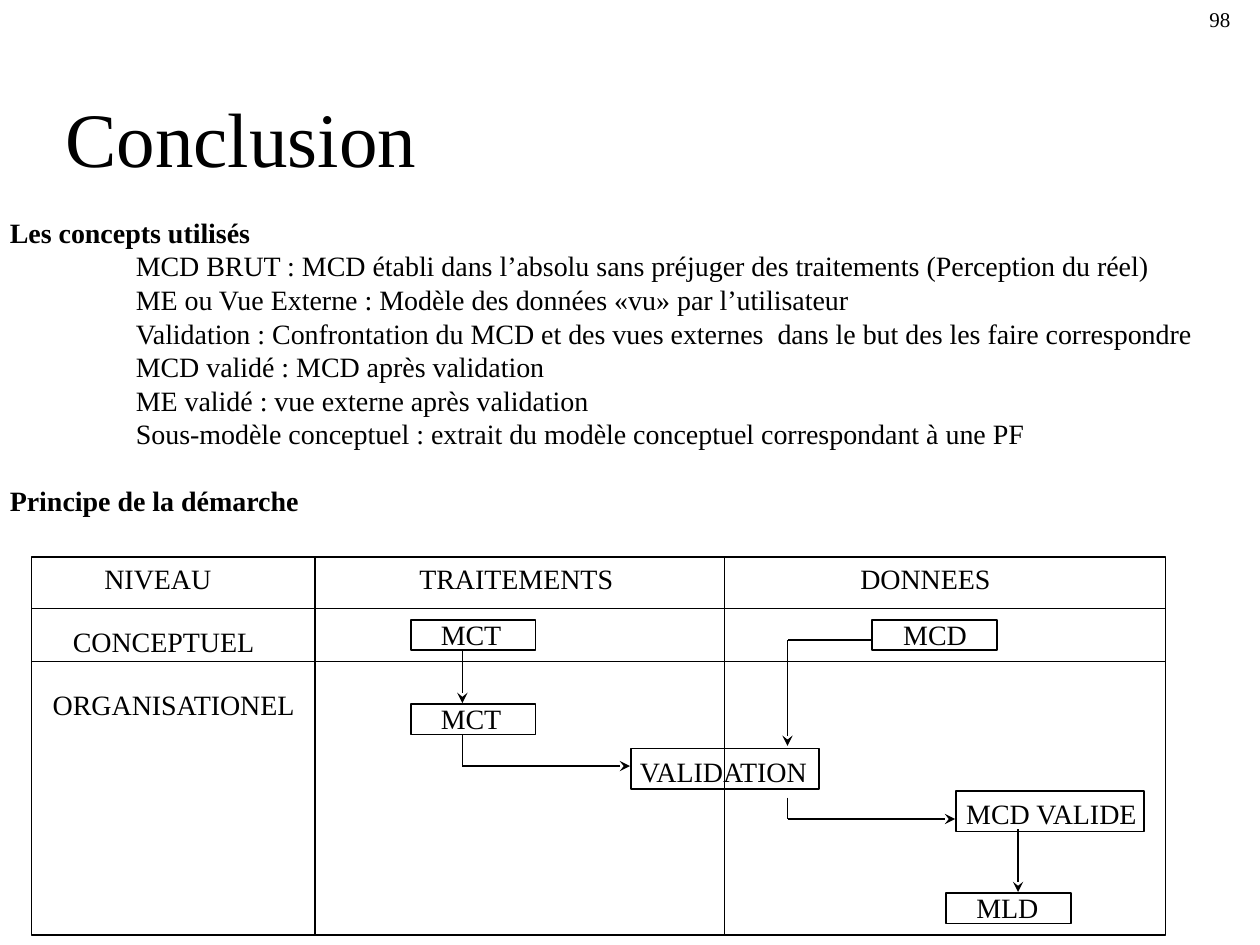
from lxml import etree
from pptx import Presentation
from pptx.dml.color import RGBColor
from pptx.enum.shapes import MSO_CONNECTOR, MSO_SHAPE
from pptx.enum.text import MSO_ANCHOR, MSO_AUTO_SIZE, PP_ALIGN
from pptx.oxml.ns import qn
from pptx.util import Inches, Pt

STRAIGHT = MSO_CONNECTOR.STRAIGHT
RECTANGLE = MSO_SHAPE.RECTANGLE
LEFT = PP_ALIGN.LEFT
FONT = "Times New Roman"
COLORS = {"ink": "000000"}

TITLE = "Conclusion"
PAGE_NUMBER = "98"
CONCEPTS_HEADING = "Les concepts utilisés"
CONCEPTS = [
    "MCD BRUT : MCD établi dans l’absolu sans préjuger des traitements (Perception du réel)",
    "ME ou Vue Externe : Modèle des données «vu» par l’utilisateur",
    "Validation : Confrontation du MCD et des vues externes  dans le but des les faire correspondre",
    "MCD validé : MCD après validation",
    "ME validé : vue externe après validation",
    "Sous-modèle conceptuel : extrait du modèle conceptuel correspondant à une PF",
]
METHOD_HEADING = "Principe de la démarche"

# Grid of levels (rows) against processing and data (columns)
GRID_LEFT, GRID_TOP, GRID_RIGHT, GRID_BOTTOM = 0.25, 4.42, 9.25, 7.42
ROW_LINES = [4.83, 5.25]
COLUMN_LINES = [2.5, 5.75]
LABEL_HEIGHT = 0.37
# text, left, top, width
GRID_LABELS = [
    ("NIVEAU", 0.73, 4.41, 1.05),
    ("TRAITEMENTS", 3.23, 4.41, 1.74),
    ("DONNEES", 6.73, 4.41, 1.24),
    ("CONCEPTUEL", 0.48, 4.91, 1.65),
    ("ORGANISATIONEL", 0.32, 5.41, 2.15),
]

SMALL_BOX = (0.99, 0.24)
LARGE_BOX = (1.49, 0.32)
# text, box left, box top, box size, label offset (x, y), label width
MODEL_BOXES = [
    ("MCT", 3.26, 4.92, SMALL_BOX, (0.14, -0.07), 0.68),
    ("MCD", 6.92, 4.92, SMALL_BOX, (0.15, -0.07), 0.71),
    ("MCT", 3.26, 5.59, SMALL_BOX, (0.14, -0.07), 0.68),
    ("MCD VALIDE", 7.59, 6.28, LARGE_BOX, (-0.02, -0.01), 1.59),
    ("MLD", 7.51, 7.09, SMALL_BOX, (0.14, -0.07), 0.69),
    ("VALIDATION", 5.01, 5.94, LARGE_BOX, (-0.03, 0), 1.58),
]
# Each route runs through its points and ends in an arrowhead
ROUTES = [
    [(3.67, 5.17), (3.67, 5.58)],
    [(3.67, 5.83), (3.67, 6.08), (5, 6.08)],
    [(6.92, 5.08), (6.25, 5.08), (6.25, 5.92)],
    [(6.25, 6.33), (6.25, 6.5), (7.58, 6.5)],
    [(8.08, 6.58), (8.08, 7.08)],
]


def color(name):
    return RGBColor.from_string(COLORS[name])


def write(paragraph, text, size=16, bold=False, indent=0, space_before=0):
    paragraph.text = text
    paragraph.alignment = LEFT
    paragraph.space_before = Pt(space_before)
    if indent:
        properties = paragraph._p.get_or_add_pPr()
        properties.set("marL", str(Inches(indent)))
        properties.set("indent", "0")
    font = paragraph.font
    font.name, font.size, font.bold = FONT, Pt(size), bold
    font.color.rgb = color("ink")


def add_text(slide, lines, left, top, width, height, wrap=False):
    """Add a text box; lines holds (text, format) pairs."""
    shape = slide.shapes.add_textbox(*map(Inches, (left, top, width, height)))
    frame = shape.text_frame
    frame.word_wrap = wrap
    frame.auto_size = MSO_AUTO_SIZE.SHAPE_TO_FIT_TEXT
    for index, (text, style) in enumerate(lines):
        paragraph = frame.add_paragraph() if index else frame.paragraphs[0]
        write(paragraph, text, **style)


def add_box(slide, left, top, width, height):
    shape = slide.shapes.add_shape(RECTANGLE, *map(Inches, (left, top, width, height)))
    shape.shadow.inherit = False
    shape.fill.background()
    shape.line.color.rgb = color("ink")
    shape.line.width = Pt(1)


def add_line(slide, start, end, arrow=False):
    connector = slide.shapes.add_connector(STRAIGHT, *map(Inches, (*start, *end)))
    connector.line.color.rgb = color("ink")
    connector.line.width = Pt(1)
    if arrow:
        outline = connector.line._get_or_add_ln()
        etree.SubElement(outline, qn("a:tailEnd"), type="stealth")
    etree.SubElement(connector._element.spPr, qn("a:effectLst"))


def add_title(slide):
    title = slide.shapes.title
    title.left, title.top, title.width, title.height = map(Inches, (0.42, 0.33, 8.46, 1.17))
    frame = title.text_frame
    frame.vertical_anchor = MSO_ANCHOR.BOTTOM
    frame.auto_size = MSO_AUTO_SIZE.NONE
    write(frame.paragraphs[0], TITLE, size=44)


def add_grid(slide):
    add_box(slide, GRID_LEFT, GRID_TOP, GRID_RIGHT - GRID_LEFT, GRID_BOTTOM - GRID_TOP)
    for y in ROW_LINES:
        add_line(slide, (GRID_LEFT, y), (GRID_RIGHT, y))
    for x in COLUMN_LINES:
        add_line(slide, (x, GRID_TOP), (x, GRID_BOTTOM))
    for text, left, top, width in GRID_LABELS:
        add_text(slide, [(text, {})], left, top, width, LABEL_HEIGHT)


def add_models(slide):
    for text, left, top, size, (shift_x, shift_y), label_width in MODEL_BOXES:
        add_box(slide, left, top, *size)
        add_text(slide, [(text, {})], left + shift_x, top + shift_y, label_width, LABEL_HEIGHT)
    for route in ROUTES:
        for index in range(1, len(route)):
            is_last = index == len(route) - 1
            add_line(slide, route[index - 1], route[index], arrow=is_last)


def main():
    presentation = Presentation()
    presentation.slide_width, presentation.slide_height = Inches(10), Inches(7.5)
    slide = presentation.slides.add_slide(presentation.slide_layouts[5])
    add_title(slide)
    body = [(CONCEPTS_HEADING, {"bold": True})]
    body += [(concept, {"indent": 1}) for concept in CONCEPTS]
    body.append((METHOD_HEADING, {"bold": True, "space_before": 19}))
    add_text(slide, body, -0.02, 1.66, 9.63, 2.51)
    add_grid(slide)
    add_models(slide)
    add_text(slide, [(PAGE_NUMBER, {"size": 12})], 9.5, 0, 0.5, 0.3, wrap=True)
    presentation.save("out.pptx")


if __name__ == "__main__":
    main()
